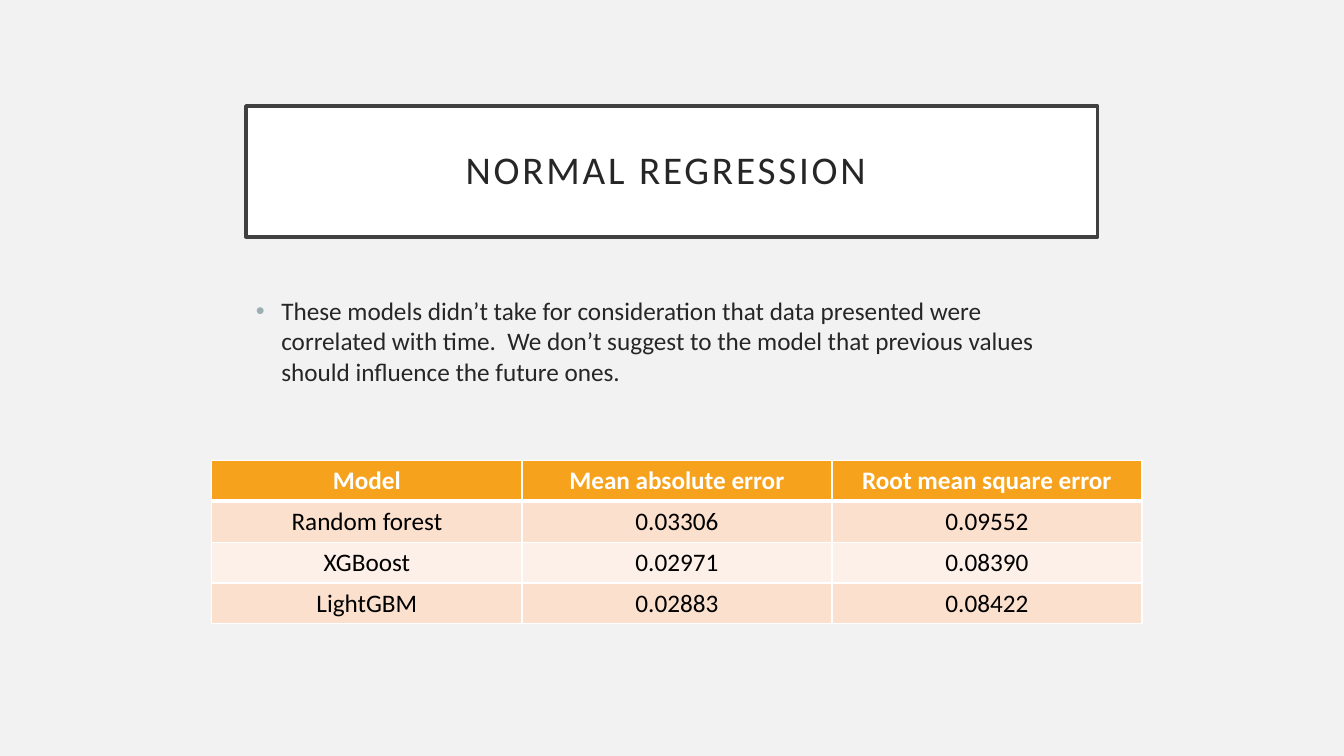
"""Build the slide on normal regression with its table of model errors."""
from lxml import etree
from pptx import Presentation, util as u
from pptx.dml.color import RGBColor
from pptx.enum import shapes, text
from pptx.oxml import ns


def color(value):
    return RGBColor.from_string(value)


def add_node(parent, tag, **attributes):
    return etree.SubElement(parent, ns.qn(tag), **attributes)


class SlideBuilder:
    font = "Calibri"
    ink = "262626"
    white = "FFFFFF"
    header_fill = "F6A21D"
    band_fills = ("FBE0CD", "FDF0E8")

    def __init__(self, page):
        self.page = page

    def background(self, fill):
        self.page.background.fill.solid()
        self.page.background.fill.fore_color.rgb = color(fill)

    def add_span(self, para, words, size, ink, bold=False):
        span = para.add_run()
        span.text = words
        span.font.name = self.font
        span.font.size = u.Pt(size)
        span.font.bold = bold
        span.font.color.rgb = color(ink)
        return span

    def title(self, words, left, top, width, height):
        box = self.page.shapes.add_shape(
            shapes.MSO_SHAPE.RECTANGLE, u.Cm(left), u.Cm(top), u.Cm(width), u.Cm(height))
        box.shadow.inherit = False
        box.fill.solid()
        box.fill.fore_color.rgb = color(self.white)
        box.line.color.rgb = color("404040")
        box.line.width = u.Pt(2.5)
        frame = box.text_frame
        frame.word_wrap = True
        frame.vertical_anchor = text.MSO_ANCHOR.MIDDLE
        frame.margin_left = frame.margin_right = u.Cm(0.5)
        frame.margin_top = frame.margin_bottom = u.Cm(0.5)
        para = frame.paragraphs[0]
        para.alignment = text.PP_ALIGN.CENTER
        para.line_spacing = 0.9
        span = self.add_span(para, words, 28, self.ink)
        span.font._element.set("spc", "200")

    def bullet(self, words, left, top, width, height):
        box = self.page.shapes.add_textbox(u.Cm(left), u.Cm(top), u.Cm(width), u.Cm(height))
        box.text_frame.word_wrap = True
        para = box.text_frame.paragraphs[0]
        para.space_before = u.Pt(10)
        self.add_span(para, words, 18, self.ink)
        layout = para._p.get_or_add_pPr()
        indent = u.Cm(0.64)
        layout.set("marL", str(indent))
        layout.set("indent", str(-indent))
        add_node(add_node(layout, "a:buClr"), "a:srgbClr", val="9BAFB5")
        add_node(layout, "a:buFont", typeface="Arial")
        add_node(layout, "a:buChar", char="•")

    def borders(self, cell, bottom):
        properties = cell._tc.get_or_add_tcPr()
        for side, width in (("L", 1), ("R", 1), ("T", 1), ("B", bottom)):
            line = add_node(properties, f"a:ln{side}", w=str(u.Pt(width)))
            add_node(add_node(line, "a:solidFill"), "a:srgbClr", val=self.white)

    def table(self, rows, left, top, width, row_height):
        table = self.page.shapes.add_table(
            len(rows), len(rows[0]), u.Cm(left), u.Cm(top),
            u.Cm(width), u.Cm(row_height * len(rows))).table
        for r, row in enumerate(rows):
            table.rows[r].height = u.Cm(row_height)
            header = r == 0
            fill = self.header_fill if header else self.band_fills[(r - 1) % 2]
            for c, words in enumerate(row):
                cell = table.cell(r, c)
                self.borders(cell, 3 if header else 1)
                cell.fill.solid()
                cell.fill.fore_color.rgb = color(fill)
                para = cell.text_frame.paragraphs[0]
                para.alignment = text.PP_ALIGN.CENTER
                self.add_span(para, words, 18, self.white if header else "000000", header)


def main():
    deck = Presentation()
    deck.slide_width, deck.slide_height = u.Cm(33.87), u.Cm(19.05)
    builder = SlideBuilder(deck.slides.add_slide(deck.slide_layouts[6]))
    builder.background("F2F2F2")
    builder.title("NORMAL REGRESSION ", 6.2, 2.67, 21.46, 3.3)
    builder.bullet(
        "These models didn’t take for consideration that data presented were "
        "correlated with time.  We don’t suggest to the model that previous "
        "values should influence the future ones.", 6.2, 7.32, 21.46, 3.12)
    builder.table([
        ("Model", "Mean absolute error", "Root mean square error"),
        ("Random forest", "0.03306", "0.09552"),
        ("XGBoost", "0.02971", "0.08390"),
        ("LightGBM", "0.02883", "0.08422"),
    ], 5.34, 11.6, 23.44, 1.03)
    deck.save("out.pptx")


if __name__ == "__main__":
    main()
